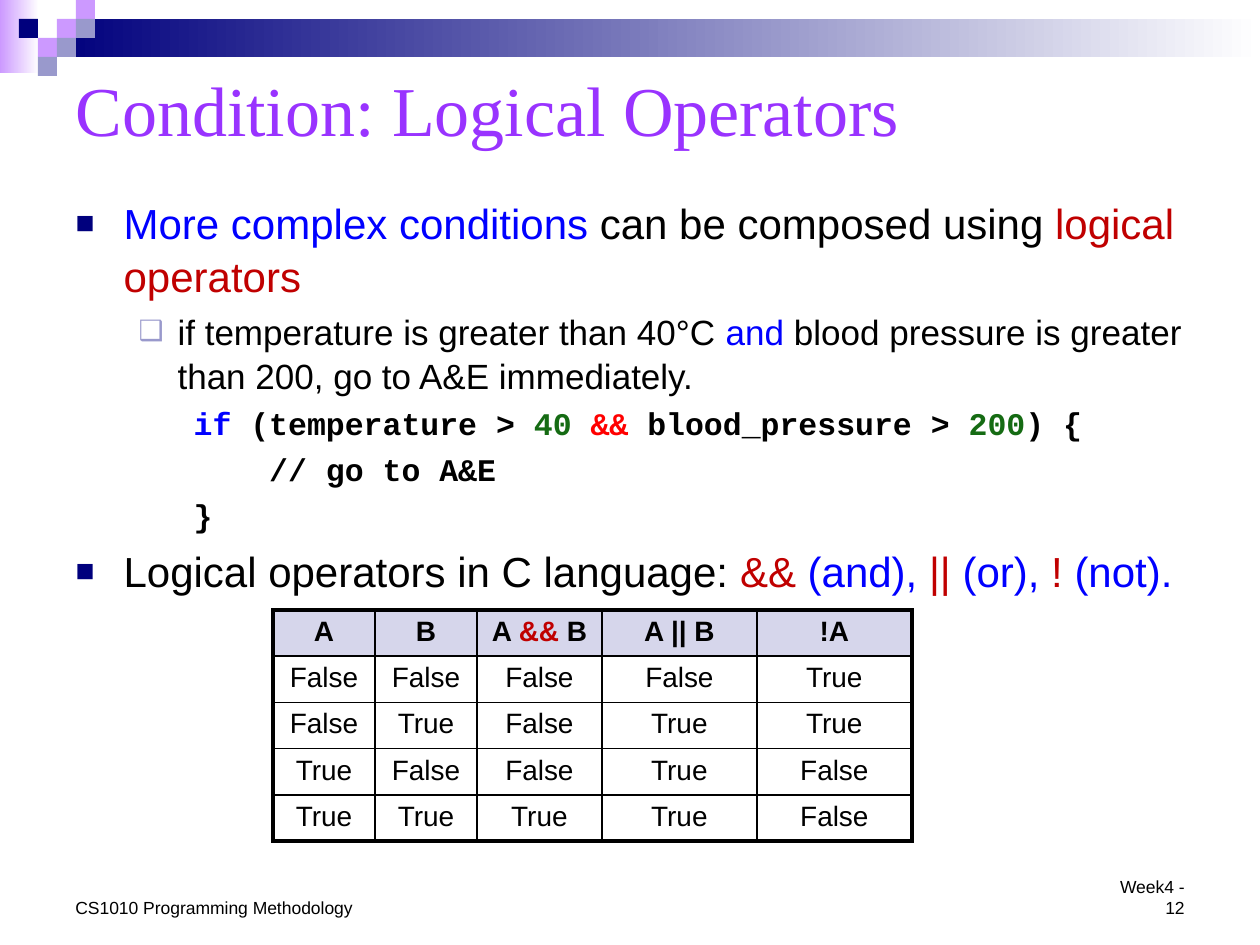
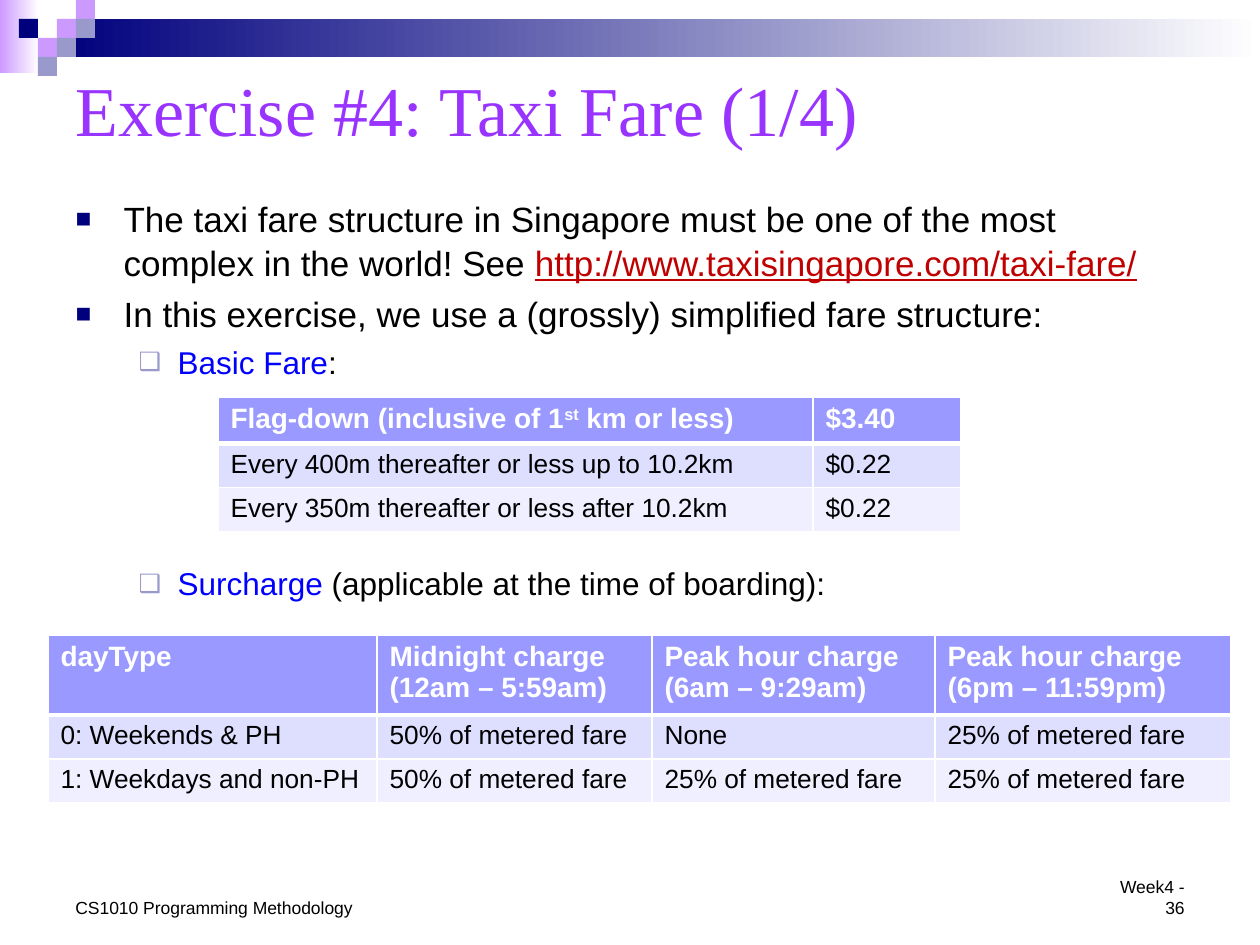
from dataclasses import dataclass

import pptx
import pptx.dml.color
import pptx.enum.shapes
import pptx.enum.text
import pptx.oxml.ns
import pptx.util
from lxml import etree

EMU_PER_PX = 914400 / 126
ALIGN = pptx.enum.text.PP_ALIGN
ANCHOR = pptx.enum.text.MSO_ANCHOR


@dataclass(frozen=True)
class Theme:
    # Colours
    black: str = "000000"
    white: str = "FFFFFF"
    title: str = "9933FF"
    navy: str = "00007D"
    lilac: str = "CC99FF"
    slate: str = "9999CC"
    blue: str = "0000FF"
    crimson: str = "C00000"
    red: str = "FF0000"
    green: str = "156B13"
    logic_header: str = "D6D6EB"
    fare_header: str = "9999FF"
    fare_rows: tuple = ("DEDEFF", "EFEFFF")
    # Fonts and type sizes
    sans: str = "Arial"
    serif: str = "Times New Roman"
    mono: str = "Courier New"
    title_size: int = 40
    large: int = 24
    medium: int = 20
    small: int = 18
    cell_header: int = 16
    cell: int = 15
    footer: int = 10
    line_spacing: float = 1.05


THEME = Theme()


@dataclass(frozen=True)
class Level:
    depth: int
    left: int
    indent: int
    bullet: str = ""
    bullet_color: str = ""
    bullet_percent: int = 100
    font: str = THEME.sans
    bold: bool = False


POINT = Level(0, 48, -48, "■", THEME.navy, 75)
SUBPOINT = Level(1, 102, -39, "❑", THEME.slate, 80)
CODE = Level(2, 118, 0, font=THEME.mono, bold=True)


def px(length):
    return pptx.util.Emu(round(length * EMU_PER_PX))


def rgb(color):
    return pptx.dml.color.RGBColor.from_string(color)


def add_element(parent, tag, **attributes):
    element = etree.SubElement(parent, pptx.oxml.ns.qn(tag))
    for name, value in attributes.items():
        element.set(name, str(value))
    return element


# Text
def write(paragraph, pieces, size, font=THEME.sans, color=THEME.black,
          bold=False, align=ALIGN.LEFT):
    """Pieces are plain strings or (text, colour[, effect]) tuples."""
    paragraph.alignment = align
    paragraph.font.name = font
    paragraph.font.size = pptx.util.Pt(size)
    paragraph.font.bold = bold
    for piece in [pieces] if isinstance(pieces, str) else pieces:
        text, run_color, *effects = (piece, color) if isinstance(piece, str) else piece
        run = paragraph.add_run()
        run.text = text
        run.font.color.rgb = rgb(run_color)
        if "underline" in effects:
            run.font.underline = True
        if "superscript" in effects:
            run._r.get_or_add_rPr().set("baseline", "30000")


def place(shape, left, top, width, height):
    shape.left, shape.top = px(left), px(top)
    shape.width, shape.height = px(width), px(height)


def set_title(slide, text):
    title = slide.shapes.title
    place(title, 63, 53, 1134, 111)
    frame = title.text_frame
    frame.auto_size = pptx.enum.text.MSO_AUTO_SIZE.NONE
    frame.vertical_anchor = ANCHOR.MIDDLE
    write(frame.paragraphs[0], text, THEME.title_size, THEME.serif, THEME.title)


def set_level(paragraph, level):
    paragraph.level = level.depth
    properties = paragraph._p.get_or_add_pPr()
    properties.set("marL", str(px(level.left)))
    properties.set("indent", str(px(level.indent)))
    if not level.bullet:
        add_element(properties, "a:buNone")
        return
    bullet_color = add_element(properties, "a:buClr")
    add_element(bullet_color, "a:srgbClr", val=level.bullet_color)
    add_element(properties, "a:buSzPct", val=level.bullet_percent * 1000)
    add_element(properties, "a:buFont", typeface=THEME.sans)
    add_element(properties, "a:buChar", char=level.bullet)


def set_body(slide, height, items):
    """Items are (level, size, pieces[, points of space before])."""
    body = slide.placeholders[1]
    place(body, 63, 189, 1134, height)
    frame = body.text_frame
    frame.auto_size = pptx.enum.text.MSO_AUTO_SIZE.NONE
    frame.vertical_anchor = ANCHOR.TOP
    for index, (level, size, pieces, *space) in enumerate(items):
        paragraph = frame.add_paragraph() if index else frame.paragraphs[0]
        set_level(paragraph, level)
        gap = space[0] if space else 0.2 * size
        paragraph.space_before = pptx.util.Pt(gap if index else 0)
        paragraph.line_spacing = THEME.line_spacing
        write(paragraph, pieces, size, level.font, bold=level.bold)


def add_footer_text(slide, left, width, text, align):
    box = slide.shapes.add_textbox(px(left), px(868), px(width), px(56))
    frame = box.text_frame
    frame.word_wrap = True
    frame.vertical_anchor = ANCHOR.BOTTOM
    write(frame.paragraphs[0], text, THEME.footer, align=align)


# Header decoration
def add_block(slide, left, top, width, height, color, fades=False):
    block = slide.shapes.add_shape(
        pptx.enum.shapes.MSO_SHAPE.RECTANGLE, px(left), px(top), px(width), px(height))
    block.shadow.inherit = False
    block.line.fill.background()
    if fades:
        block.fill.gradient()
        block.fill.gradient_angle = 0
        for stop, stop_color in zip(block.fill.gradient_stops, (color, THEME.white)):
            stop.color.rgb = rgb(stop_color)
    else:
        block.fill.solid()
        block.fill.fore_color.rgb = rgb(color)


def add_header_band(slide):
    side = 19
    add_block(slide, 0, 0, 39, 73, THEME.lilac, fades=True)
    add_block(slide, 57, side, 1203, 2 * side, THEME.navy, fades=True)
    squares = {
        THEME.lilac: [(3, 1), (4, 0), (2, 2)],
        THEME.slate: [(4, 1), (3, 2), (2, 3)],
        THEME.navy: [(1, 1)],
    }
    for color, cells in squares.items():
        for column, row in cells:
            add_block(slide, column * side, row * side, side, side, color)


# Tables
def set_borders(cell, color, widths):
    """Widths are points for the left, right, top and bottom sides."""
    properties = cell._tc.get_or_add_tcPr()
    for side, width in zip("LRTB", widths):
        line = add_element(properties, f"a:ln{side}", w=pptx.util.Pt(width))
        add_element(add_element(line, "a:solidFill"), "a:srgbClr", val=color)


def add_grid(slide, left, top, columns, heights, rows, style_cell):
    """style_cell(cell, row, column) sets borders and fill, returns text settings."""
    frame = slide.shapes.add_table(
        len(rows), len(columns), px(left), px(top), px(sum(columns)), px(sum(heights)))
    table = frame.table
    table.horz_banding = False
    for column, width in zip(table.columns, columns):
        column.width = px(width)
    for row, height in zip(table.rows, heights):
        row.height = px(height)
    for row_index, row in enumerate(rows):
        for column_index, pieces in enumerate(row):
            cell = table.cell(row_index, column_index)
            settings = style_cell(cell, row_index, column_index)
            write(cell.text_frame.paragraphs[0], pieces,
                  bold=row_index == 0, **settings)


def style_logic_cell(cell, row, column):
    outer, inner = 2.25, 1
    on_edge = (column == 0, column == 4, row == 0, row == 4)
    set_borders(cell, THEME.black, [outer if edge else inner for edge in on_edge])
    if row == 0:
        cell.fill.solid()
        cell.fill.fore_color.rgb = rgb(THEME.logic_header)
    else:
        cell.fill.background()
    return {"size": THEME.cell_header, "align": ALIGN.CENTER}


def style_fare_cell(cell, row, column):
    set_borders(cell, THEME.white, (1, 1, 3 if row == 1 else 1, 3 if row == 0 else 1))
    cell.fill.solid()
    cell.fill.fore_color.rgb = rgb((THEME.fare_header, *THEME.fare_rows)[row])
    if row == 0:
        return {"size": THEME.cell_header, "color": THEME.white}
    return {"size": THEME.cell}


# Slides
def add_slide(presentation, title, number):
    slide = presentation.slides.add_slide(presentation.slide_layouts[1])
    add_header_band(slide)
    set_title(slide, title)
    add_footer_text(slide, 63, 305, "CS1010 Programming Methodology", ALIGN.LEFT)
    add_footer_text(slide, 1091, 106, f"Week4 - {number}", ALIGN.RIGHT)
    return slide


def add_logical_operators(presentation):
    slide = add_slide(presentation, "Condition: Logical Operators", 12)
    blue, crimson, green = THEME.blue, THEME.crimson, THEME.green
    set_body(slide, 422, [
        (POINT, THEME.large, [("More complex conditions ", blue),
                              "can be composed using ", ("logical operators", crimson)]),
        (SUBPOINT, THEME.medium, ["if temperature is greater than 40°C ", ("and ", blue),
                                  "blood pressure is greater than 200, "
                                  "go to A&E immediately."]),
        (CODE, THEME.small, [("if", blue), " (temperature > ", ("40 ", green),
                             ("&& ", THEME.red), "blood_pressure > ",
                             ("200", green), ") {"]),
        (CODE, THEME.small, "    // go to A&E"),
        (CODE, THEME.small, "}"),
        (POINT, THEME.large, ["Logical operators in C language: ",
                              ("&&", crimson), (" (and), ", blue),
                              ("||", crimson), (" (or), ", blue),
                              ("!", crimson), (" (not).", blue)]),
    ])
    truth_rows = [[str(value) for value in (a, b, a and b, a or b, not a)]
                  for a in (False, True) for b in (False, True)]
    header = ["A", "B", ["A ", ("&&", crimson), " B"], "A || B", "!A"]
    add_grid(slide, 273, 610, [102, 102, 125, 155, 155], [45] + [46] * 4,
             [header, *truth_rows], style_logic_cell)


def add_taxi_fare(presentation):
    slide = add_slide(presentation, "Exercise #4: Taxi Fare (1/4)", 36)
    set_body(slide, 433, [
        (POINT, THEME.medium, [
            "The taxi fare structure in Singapore must be one of the most complex "
            "in the world! See ",
            ("http://www.taxisingapore.com/taxi-fare/", THEME.crimson, "underline")]),
        (POINT, THEME.medium,
         "In this exercise, we use a (grossly) simplified fare structure:"),
        (SUBPOINT, THEME.small, [("Basic Fare", THEME.blue), ":"]),
        (SUBPOINT, THEME.small, [("Surcharge ", THEME.blue),
                                 "(applicable at the time of boarding):"], 104),
    ])
    flag_down = ["Flag-down (inclusive of 1", ("st", THEME.white, "superscript"),
                 " km or less)"]
    add_grid(slide, 218, 397, [595, 148], [45, 44, 44], [
        [flag_down, "$3.40"],
        ["Every 400m thereafter or less up to 10.2km", "$0.22"],
        ["Every 350m thereafter or less after 10.2km", "$0.22"],
    ], style_fare_cell)
    half, quarter = "50% of metered fare", "25% of metered fare"
    add_grid(slide, 48, 635, [329, 275, 283, 296], [79, 44, 44], [
        ["dayType", "Midnight charge (12am – 5:59am)",
         "Peak hour charge (6am – 9:29am)", "Peak hour charge (6pm – 11:59pm)"],
        ["0: Weekends & PH", half, "None", quarter],
        ["1: Weekdays and non-PH", half, quarter, quarter],
    ], style_fare_cell)


def main():
    presentation = pptx.Presentation()
    presentation.slide_width, presentation.slide_height = px(1260), px(945)
    add_logical_operators(presentation)
    add_taxi_fare(presentation)
    presentation.save("out.pptx")


if __name__ == "__main__":
    main()
